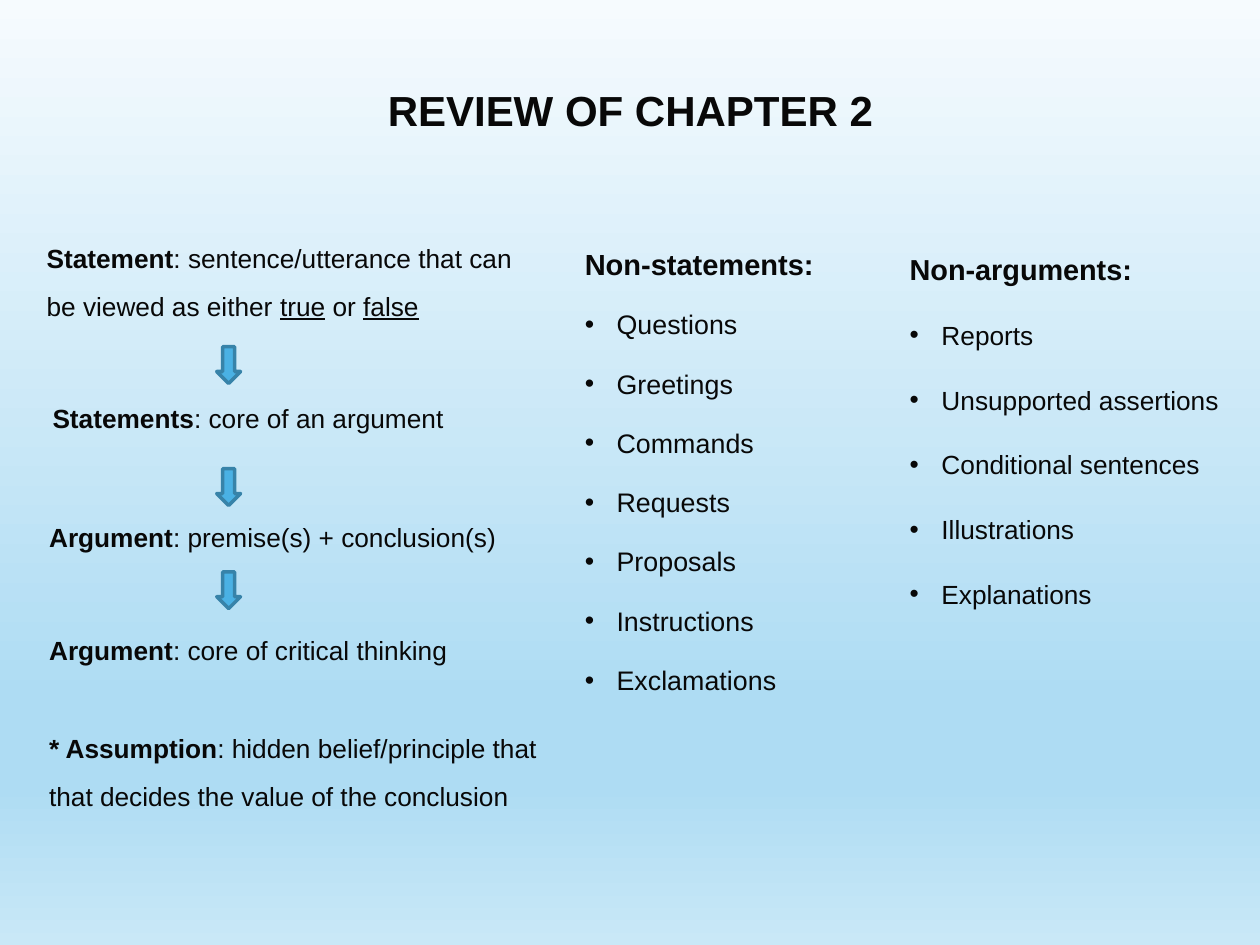
from lxml import etree
from pptx import Presentation
from pptx.dml.color import RGBColor
from pptx.enum.shapes import MSO_SHAPE
from pptx.enum.text import MSO_AUTO_SIZE, PP_ALIGN
from pptx.oxml.ns import qn
from pptx.util import Cm, Pt

DOWN_ARROW = MSO_SHAPE.DOWN_ARROW
FIT_SHAPE = MSO_AUTO_SIZE.SHAPE_TO_FIT_TEXT
CENTER = PP_ALIGN.CENTER

INK = RGBColor(0x08, 0x08, 0x08)
ARROW_FILL = RGBColor(0x4A, 0xB1, 0xE4)
ARROW_LINE = RGBColor(0x37, 0x83, 0xA9)
SKY_STOPS = [
    (0, RGBColor(0xF6, 0xFB, 0xFE)),
    (74, RGBColor(0xAE, 0xDC, 0xF3)),
    (83, RGBColor(0xAE, 0xDC, 0xF3)),
    (100, RGBColor(0xC9, 0xE8, 0xF7)),
]

FONT = "Arial"
BOLD = {"bold": True}
PLAIN = {"bold": False}
UNDERLINED = {"bold": False, "underline": True}

DEFINITIONS = [
    ((0.69, 4.45, 9.96, 2.06), 1.5, [
        ("Statement", BOLD),
        (": sentence/utterance that can be viewed as either ", PLAIN),
        ("true", UNDERLINED),
        (" or ", PLAIN),
        ("false", UNDERLINED),
    ]),
    ((0.81, 8.05, 9.96, 0.84), 0.9, [
        ("Statements", BOLD), (": core of an argument", PLAIN)]),
    ((0.74, 10.46, 11.66, 0.84), 0.9, [
        ("Argument", BOLD), (": premise(s) + conclusion(s)", PLAIN)]),
    ((0.74, 12.73, 11.66, 0.84), 0.9, [
        ("Argument", BOLD), (": core of critical thinking", PLAIN)]),
    ((0.74, 14.33, 10.8, 2.06), 1.5, [
        ("* Assumption", BOLD),
        (": hidden belief/principle that that decides the value of the conclusion", PLAIN),
    ]),
]
ARROW_TOPS = [6.99, 9.45, 11.53]

NON_STATEMENTS = ["Questions", "Greetings", "Commands", "Requests",
                  "Proposals", "Instructions", "Exclamations"]
NON_ARGUMENTS = ["Reports", "Unsupported assertions", "Conditional sentences",
                 "Illustrations", "Explanations"]


def set_format(target, values):
    for name, value in values.items():
        setattr(target, name, value)


def add_span(para, text, size, style):
    span = para.add_run()
    span.text = text
    set_format(span.font, {"name": FONT, "size": Pt(size), **style})
    span.font.color.rgb = INK


def add_text_frame(page, box, values):
    frame = page.shapes.add_textbox(*(Cm(length) for length in box)).text_frame
    set_format(frame, {"word_wrap": True, **values})
    return frame


def add_bullet(para):
    properties = para._p.get_or_add_pPr()
    properties.set("marL", str(Cm(0.64)))
    properties.set("indent", str(-Cm(0.64)))
    etree.SubElement(properties, qn("a:buFont")).set("typeface", FONT)
    etree.SubElement(properties, qn("a:buChar")).set("char", "•")


def paint_background(page):
    fill = page.background.fill
    fill.gradient()
    fill.gradient_angle = 270
    stop_list = page.element.find(".//" + qn("a:gsLst"))
    for stop in list(stop_list):
        stop_list.remove(stop)
    for percent, color in SKY_STOPS:
        stop = etree.SubElement(stop_list, qn("a:gs"), pos=str(percent * 1000))
        etree.SubElement(stop, qn("a:srgbClr"), val=str(color))


def add_title(page, box, text):
    para = add_text_frame(page, box, {"auto_size": FIT_SHAPE}).paragraphs[0]
    para.alignment = CENTER
    add_span(para, text, 24, BOLD)


def add_definition(page, box, line_spacing, spans):
    para = add_text_frame(page, box, {"auto_size": FIT_SHAPE}).paragraphs[0]
    para.line_spacing = line_spacing
    for text, style in spans:
        add_span(para, text, 15, style)


def add_down_arrow(page, box):
    arrow = page.shapes.add_shape(DOWN_ARROW, *(Cm(length) for length in box))
    arrow.shadow.inherit = False
    arrow.fill.solid()
    arrow.fill.fore_color.rgb = ARROW_FILL
    arrow.line.color.rgb = ARROW_LINE
    arrow.line.width = Pt(2)


def add_bullet_column(page, box, heading, items, sizes, line_spacing):
    heading_size, item_size = sizes
    frame = add_text_frame(page, box, {
        "margin_left": Cm(0.18), "margin_right": Cm(0.18),
        "margin_top": Cm(0.1), "margin_bottom": Cm(0.1),
    })
    para = frame.paragraphs[0]
    para.line_spacing = line_spacing
    add_span(para, heading, heading_size, BOLD)
    for item in items:
        para = frame.add_paragraph()
        add_bullet(para)
        set_format(para, {"line_spacing": line_spacing, "space_before": Pt(10)})
        add_span(para, item, item_size, PLAIN)


def main():
    deck = Presentation()
    deck.slide_width, deck.slide_height = Cm(25.4), Cm(19.05)
    page = deck.slides.add_slide(deck.slide_layouts[6])
    paint_background(page)
    add_title(page, (7.34, 1.57, 10.74, 1.27), "REVIEW OF CHAPTER 2")
    for box, line_spacing, spans in DEFINITIONS:
        add_definition(page, box, line_spacing, spans)
    add_bullet_column(page, (11.61, 4.65, 7.32, 9.42), "Non-statements:",
                      NON_STATEMENTS, (16.6, 15.3), 1.3)
    add_bullet_column(page, (18.16, 4.62, 6.99, 9.07), "Non-arguments:",
                      NON_ARGUMENTS, (16.5, 15), 1.5)
    for top in ARROW_TOPS:
        add_down_arrow(page, (4.37, top, 0.48, 0.74))
    deck.save("out.pptx")


if __name__ == "__main__":
    main()
